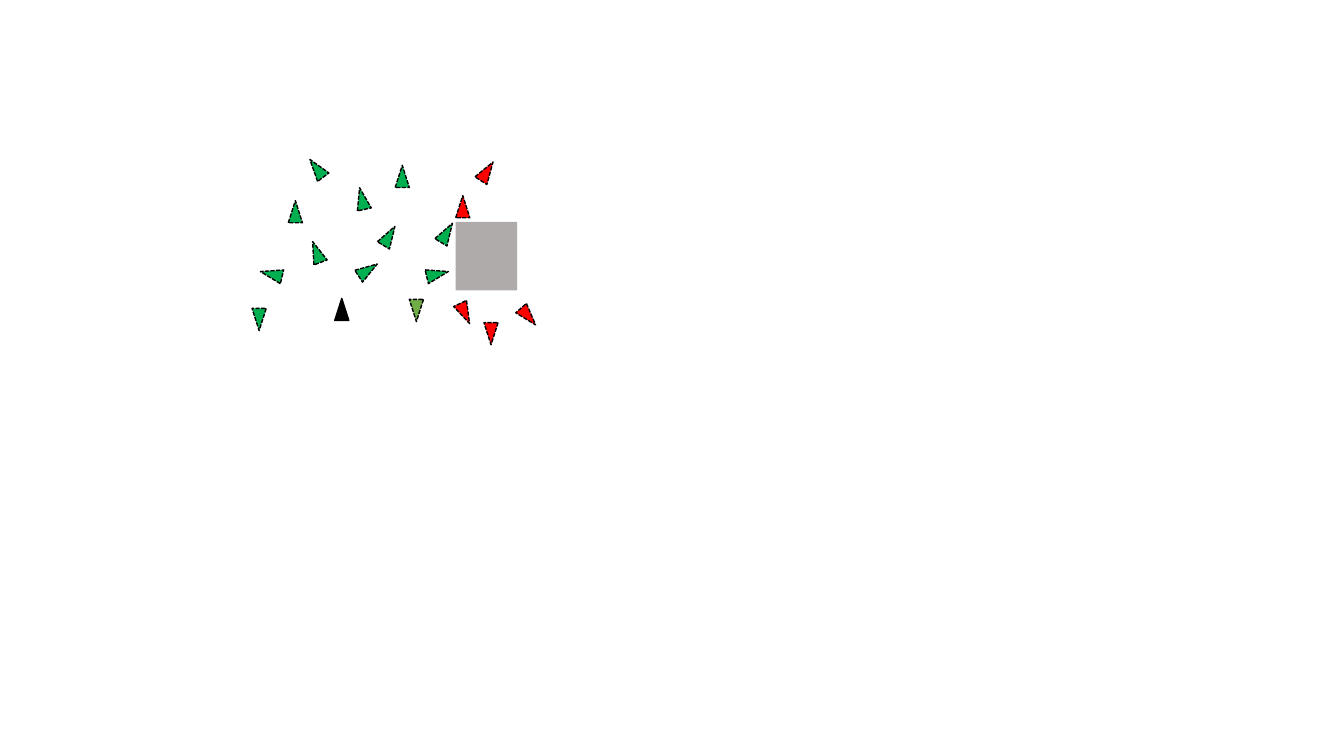
from pptx import Presentation
from pptx.dml.color import RGBColor
from pptx.enum.dml import MSO_LINE
from pptx.enum.shapes import MSO_SHAPE
from pptx.util import Inches, Pt

HUES = {"green": "00B050", "olive": "70AD47", "red": "FF0000",
        "black": "000000", "gray": "AFABAB"}
WIDE, HIGH = 0.14, 0.22

# Markers by colour: left and top within the map, turn in degrees
MARKS = {
    "green": [(1.42, 0.08, 0), (0.36, 0.43, 0), (0.57, 0, 323.1),
              (1.29, 0.67, 31.2), (0.12, 1.05, 283.6), (0.57, 0.83, 339.2),
              (1.02, 0.3, 347.7), (1.08, 1.01, 56.8), (0, 1.5, 180),
              (1.77, 1.05, 76.4), (1.86, 0.64, 31.2)],
    "olive": [(1.56, 1.41, 180)],
    "red": [(2.02, 0.38, 0), (2.04, 1.44, 154.6), (2.67, 1.47, 139),
            (2.3, 1.64, 180), (2.26, 0.03, 33)],
    "black": [(0.82, 1.4, 0)],
}


def color(hue):
    return RGBColor.from_string(HUES[hue])


def shape(slide, kind, box, hue):
    item = slide.shapes.add_shape(kind, *map(Inches, box))
    item.shadow.inherit = False
    item.fill.solid()
    item.fill.fore_color.rgb = color(hue)
    item.line.fill.background()
    return item


def marker(slide, left, top, turn, hue):
    item = shape(slide, MSO_SHAPE.ISOSCELES_TRIANGLE,
                 (left, top, WIDE, HIGH), hue)
    item.rotation = turn
    item.line.color.rgb = color("black")
    item.line.width = Pt(1)
    if hue != "black":
        item.line.dash_style = MSO_LINE.SQUARE_DOT


def draw_map(slide, left, top):
    # Gray block
    shape(slide, MSO_SHAPE.RECTANGLE, (left + 2.02, top + 0.64, 0.61, 0.68),
          "gray")
    # Markers around it
    for hue, spots in MARKS.items():
        for x, y, turn in spots:
            marker(slide, left + x, top + y, turn, hue)


deck = Presentation()
deck.slide_width, deck.slide_height = Inches(13.33), Inches(7.5)
page = deck.slides.add_slide(deck.slide_layouts[6])
draw_map(page, 2.5, 1.56)
deck.save("out.pptx")
